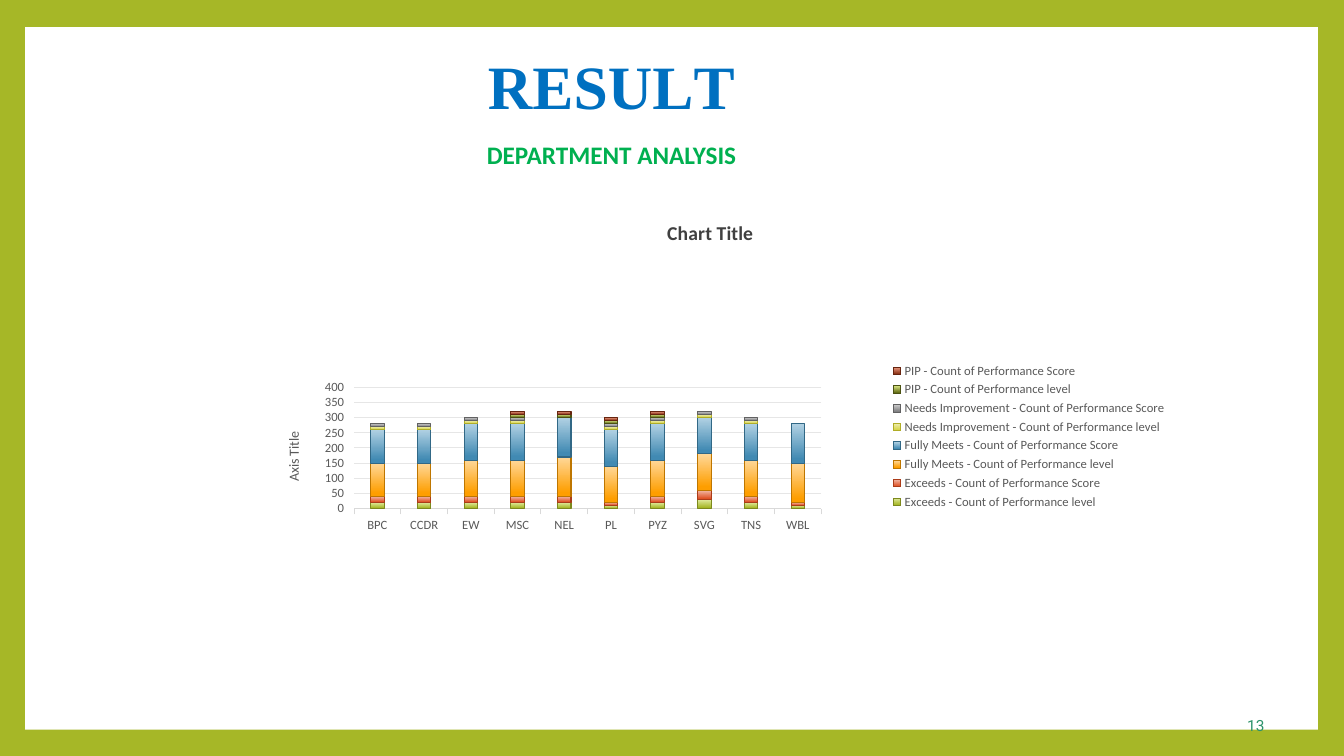
from pptx import Presentation
from pptx.chart.data import CategoryChartData
from pptx.dml.color import RGBColor
from pptx.enum.chart import XL_CHART_TYPE as ChartType, XL_LEGEND_POSITION as LegendPos
from pptx.enum.chart import XL_TICK_MARK as TickMark
from pptx.enum.shapes import MSO_SHAPE as Shape
from pptx.enum.text import MSO_ANCHOR as Anchor, PP_ALIGN as Align
from pptx.oxml import parse_xml
from pptx.oxml.ns import nsdecls
from pptx.util import Inches, Pt

OLIVE = RGBColor(0xA6, 0xB7, 0x27)
WHITE = RGBColor(0xFF, 0xFF, 0xFF)
BLUE = RGBColor(0x00, 0x70, 0xC0)
GREEN = RGBColor(0x00, 0xB0, 0x50)
TEAL = RGBColor(0x2D, 0x93, 0x6B)
BLACK = RGBColor(0x00, 0x00, 0x00)
DARK_GREY = RGBColor(0x40, 0x40, 0x40)
GREY = RGBColor(0x59, 0x59, 0x59)
AXIS_GREY = RGBColor(0xD9, 0xD9, 0xD9)
GRID_GREY = RGBColor(0xE6, 0xE6, 0xE6)

DEPARTMENTS = ["BPC", "CCDR", "EW", "MSC", "NEL", "PL", "PYZ", "SVG", "TNS", "WBL"]
# Both measures of a rating hold the same counts.
RATINGS = {
    "Exceeds": [20, 20, 20, 20, 20, 10, 20, 30, 20, 10],
    "Fully Meets": [110, 110, 120, 120, 130, 120, 120, 120, 120, 130],
    "Needs Improvement": [10, 10, 10, 10, 0, 10, 10, 10, 10, 0],
    "PIP": [0, 0, 0, 10, 10, 10, 10, 0, 0, 0],
}
MEASURES = ["Count of Performance level", "Count of Performance Score"]
# Gradient top, gradient bottom and outline of each series
SERIES_COLORS = [
    [RGBColor.from_string(c) for c in row.split()]
    for row in (
        "E2EBA0 A6B727 7D891D",
        "F2BAA9 DF5327 AB3C19",
        "FFD899 FE9E00 BE7600",
        "B1D1E3 418AB3 316886",
        "EFEEB5 D7D447 B0AD26",
        "CDCDCD 818183 616162",
        "D9E583 646E17 4B5212",
        "ED9D84 893014 67240F",
    )
]


def style_font(font, size, color, name="Calibri", bold=False):
    font.name, font.size, font.bold = name, Pt(size), bold
    font.color.rgb = color


def style_line(line, color):
    line.color.rgb = color
    line.width = Pt(0.75)


def add_frame(s):
    """White panel behind everything, leaving an olive border."""
    s.background.fill.solid()
    s.background.fill.fore_color.rgb = OLIVE
    sp = s.shapes.add_shape(Shape.RECTANGLE, Inches(0.25), Inches(0.27),
                            Inches(12.82), Inches(6.97))
    sp.shadow.inherit = False
    sp.fill.solid()
    sp.fill.fore_color.rgb = WHITE
    sp.line.fill.background()
    s.shapes._spTree.insert(2, sp._element)


def set_title(s):
    sp = s.shapes.title
    sp.left, sp.top = Inches(0.83), Inches(0.46)
    sp.width, sp.height = Inches(11.17), Inches(0.76)
    tf = sp.text_frame
    tf.vertical_anchor = Anchor.MIDDLE
    tf.margin_left = Inches(4.01)
    tf.margin_top = Inches(0.01)
    tf.margin_right = tf.margin_bottom = 0
    p = tf.paragraphs[0]
    p.alignment = Align.LEFT
    p.space_before = Pt(1.1)
    for text, spacing in (("RESU", 0), ("L", -400), ("T", 0)):
        r = p.add_run()
        r.text = text
        style_font(r.font, 44, BLUE, "Times New Roman", True)
        r._r.get_or_add_rPr().set("spc", str(spacing))


def add_label(s, text, left, top, width, height, size, color, font="Calibri",
              bold=False, margins=None):
    box = s.shapes.add_textbox(Inches(left), Inches(top), Inches(width), Inches(height))
    tf = box.text_frame
    tf.text = text
    if margins:
        tf.margin_left, tf.margin_top, tf.margin_right, tf.margin_bottom = map(Inches, margins)
    style_font(tf.paragraphs[0].runs[0].font, size, color, font, bold)


def set_plot_area(chart, x, y, w, h):
    """Fix the inner plot area, in fractions of the chart."""
    area = chart._chartSpace.chart.plotArea
    for old in area.xpath("c:layout"):
        area.remove(old)
    area.insert(0, parse_xml(
        f'<c:layout {nsdecls("c")}><c:manualLayout><c:layoutTarget val="inner"/>'
        '<c:xMode val="edge"/><c:yMode val="edge"/>'
        f'<c:x val="{x}"/><c:y val="{y}"/><c:w val="{w}"/><c:h val="{h}"/>'
        '</c:manualLayout></c:layout>'))


def style_series(series, top, bottom, outline):
    fill = series.format.fill
    fill.gradient()
    fill.gradient_angle = 270
    for stop, color, position in zip(fill.gradient_stops, (top, bottom), (0, 0.9)):
        stop.color.rgb = color
        stop.position = position
    style_line(series.format.line, outline)


def set_chart_title(owner, text, size, color, bold=False):
    tf = (owner.chart_title if hasattr(owner, "chart_title") else owner.axis_title).text_frame
    tf.text = text
    style_font(tf.paragraphs[0].runs[0].font, size, color, bold=bold)


def style_axes(chart):
    cat, val = chart.category_axis, chart.value_axis
    for axis in (cat, val):
        axis.major_tick_mark = TickMark.OUTSIDE
        style_font(axis.tick_labels.font, 9, GREY)
    style_line(cat.format.line, AXIS_GREY)
    val.format.line.fill.background()
    val.minimum_scale, val.maximum_scale, val.major_unit = 0, 400, 50
    style_line(val.major_gridlines.format.line, GRID_GREY)
    set_chart_title(val, "Axis Title", 10, GREY)


def add_department_chart(s):
    data = CategoryChartData()
    data.categories = DEPARTMENTS
    for rating, counts in RATINGS.items():
        for measure in MEASURES:
            data.add_series(f"{rating} - {measure}", counts)
    chart = s.shapes.add_chart(ChartType.COLUMN_STACKED, Inches(2.42), Inches(1.99),
                               Inches(9.25), Inches(4.68), data).chart
    style_font(chart.font, 10, BLACK)
    set_chart_title(chart, "Chart Title", 14, DARK_GREY, True)
    chart.has_legend = True
    chart.legend.position = LegendPos.RIGHT
    chart.legend.include_in_layout = False
    style_font(chart.legend.font, 9, GREY)
    plot = chart.plots[0]
    plot.gap_width, plot.overlap = 246, 100
    plot.vary_by_categories = False
    for series, colors in zip(plot.series, SERIES_COLORS):
        style_series(series, *colors)
    style_axes(chart)
    set_plot_area(chart, 0.118, 0.396, 0.501, 0.257)


def main():
    prs = Presentation()
    prs.slide_width, prs.slide_height = Inches(13.33), Inches(7.5)
    s = prs.slides.add_slide(prs.slide_layouts[5])
    add_frame(s)
    set_title(s)
    add_label(s, "13", 12.33, 7.08, 0.25, 0.21, 11, TEAL, "Roboto",
              margins=(0.04, 0.02, 0, 0))
    add_label(s, "DEPARTMENT ANALYSIS", 4.73, 1.33, 2.98, 0.4, 18, GREEN, bold=True)
    add_department_chart(s)
    prs.save("out.pptx")


if __name__ == "__main__":
    main()
